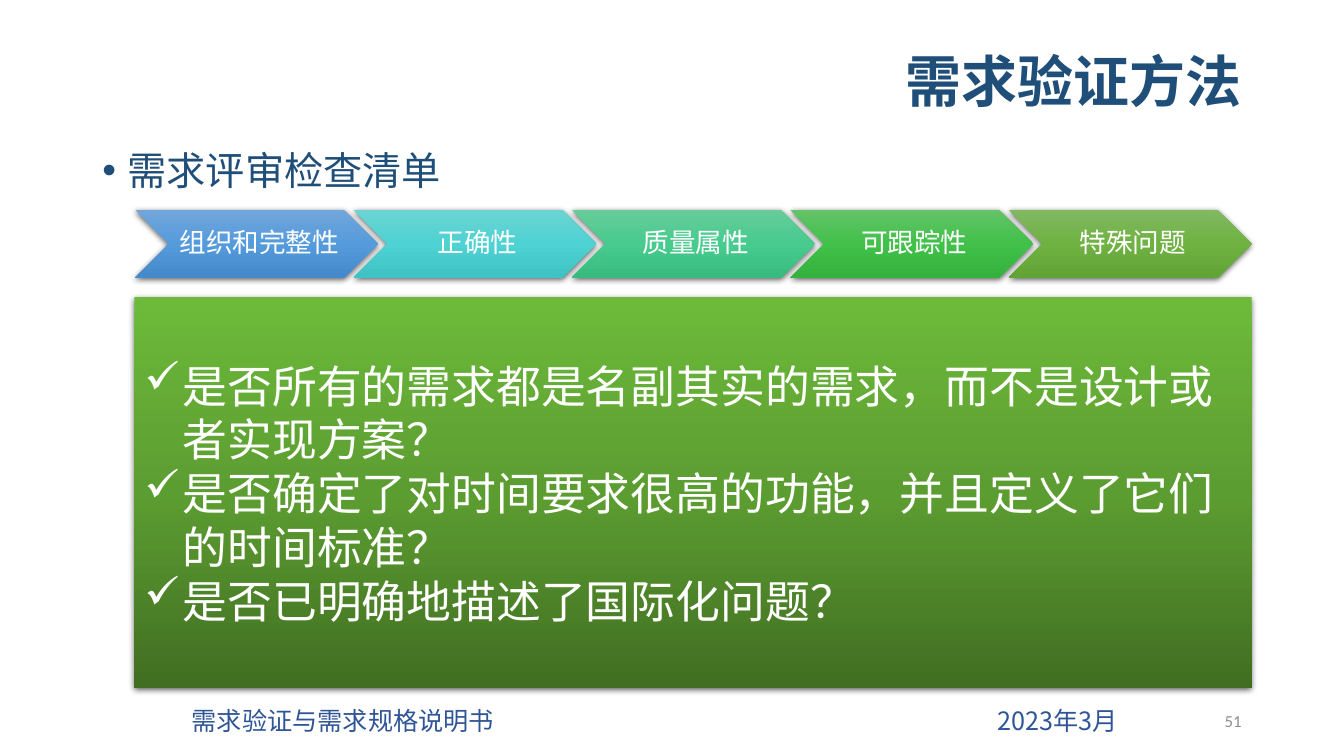
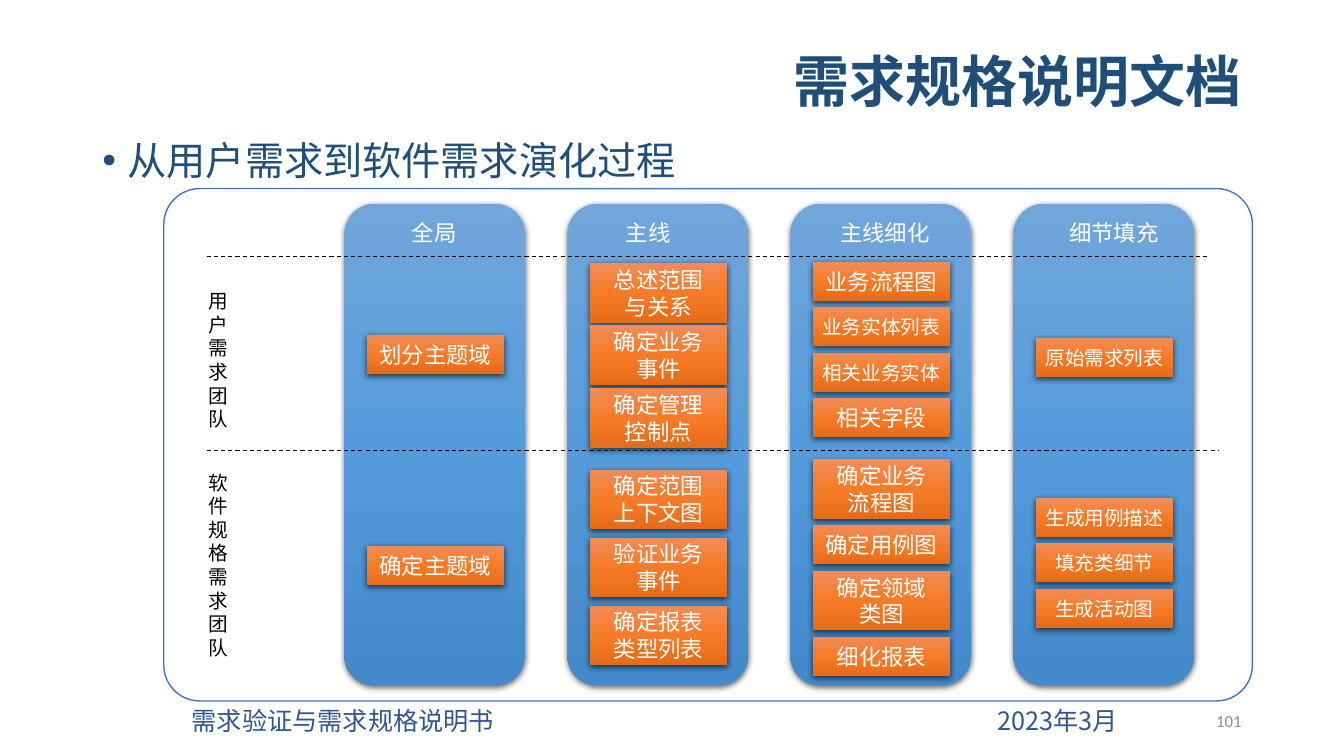
from lxml.etree import SubElement
from pptx import Presentation
from pptx.dml.color import RGBColor
from pptx.enum.dml import MSO_LINE
from pptx.enum.shapes import MSO_CONNECTOR, MSO_SHAPE
from pptx.enum.text import MSO_ANCHOR, MSO_AUTO_SIZE, PP_ALIGN
from pptx.oxml.ns import qn
from pptx.util import Inches, Pt

# The slide is a grid of 32 columns and 18 rows of square cells.
CELL = Inches(13.333) / 32
NAVY, FOOTER_BLUE, GREY, WHITE, BLACK = "1F4E79", "2F5597", "8C8C8C", "FFFFFF", "000000"
BLUES = ("71A6DB", "559BDB", "448ACA")
TEALS = ("6CD3D3", "4ED2D3", "3EC2C3")
MINTS = ("67CC9A", "47CB8E", "39BB7F")
GREENS = ("63C368", "42C14A", "34B23D")
OLIVES = ("81B861", "6FB242", "62A336")
LEAVES = ("6DBA3A", "5C9D31", "416E22")
ORANGES = ("F18C57", "F67B28", "E56C19")
SANS = "Noto Sans CJK SC"
CENTER = {"alignment": PP_ALIGN.CENTER}
RIGHT = {"alignment": PP_ALIGN.RIGHT}
MIDDLE = {"vertical_anchor": MSO_ANCHOR.MIDDLE}
MIDDLE_NO_WRAP = {**MIDDLE, "word_wrap": False}


def cells(*counts):
    """Turn counts of grid cells into lengths."""
    return [round(count * CELL) for count in counts]


def write(shape, lines, size, color, paragraph_format=None, frame_format=None,
          bullet=None, typeface=SANS, bold=False):
    """Fill a shape with one paragraph per line; bullet is (character, indent in inches)."""
    frame = shape.text_frame
    for name, value in {"word_wrap": True, "auto_size": MSO_AUTO_SIZE.NONE,
                        **(frame_format or {})}.items():
        setattr(frame, name, value)
    for number, line in enumerate(lines):
        paragraph = frame.paragraphs[0] if number == 0 else frame.add_paragraph()
        if bullet:
            character, indent = bullet
            properties = paragraph._p.get_or_add_pPr()
            properties.set("marL", str(Inches(indent)))
            properties.set("indent", str(-Inches(indent)))
            SubElement(properties, qn("a:buChar"), char=character)
        for name, value in {"space_before": Pt(0), "alignment": PP_ALIGN.LEFT,
                            **(paragraph_format or {})}.items():
            setattr(paragraph, name, value)
        run = paragraph.add_run()
        run.text = line
        run.font.color.rgb = RGBColor.from_string(color)
        for name, value in {"size": Pt(size), "bold": bold, "name": typeface}.items():
            setattr(run.font, name, value)
        SubElement(run._r.get_or_add_rPr(), qn("a:ea"), typeface=typeface)


presentation = Presentation()
presentation.slide_width, presentation.slide_height = cells(32, 18)
gradient_blocks = []

# Title, list, footer and number of both slides
slides = []
for title, topic, topic_box, page in (
    ("需求验证方法", "需求评审检查清单", (2.2, 3.48, 27.6, 12.75), "51"),
    ("需求规格说明文档", "从用户需求到软件需求演化过程", (2.2, 3.24, 24.14, 11.6), "101"),
):
    slide = presentation.slides.add_slide(presentation.slide_layouts[1])
    slides.append(slide)
    heading, body = slide.placeholders
    for placeholder, box in ((heading, (2.2, 0.75, 27.6, 2.5)), (body, topic_box)):
        for name, length in zip(("left", "top", "width", "height"), cells(*box)):
            setattr(placeholder, name, length)
    write(heading, [title], 40, NAVY, {**RIGHT, "line_spacing": 0.9}, MIDDLE, bold=True)
    write(body, [topic], 28, NAVY, {"line_spacing": 0.9}, bullet=("•", 0.25),
          typeface="Noto Sans CJK JP")
    for left, text in ((4.33, "需求验证与需求规格说明书"), (23.52, "2023年3月")):
        footer = slide.shapes.add_textbox(*cells(left, 16.68, 12 if left < 16 else 5, 0.96))
        write(footer, [text], 18, FOOTER_BLUE)
    page_number = slide.shapes.add_textbox(*cells(22.6, 16.68, 7.2, 0.96))
    write(page_number, [page], 12, GREY, RIGHT, MIDDLE, typeface="Calibri")

checklist_slide, evolution_slide = slides

# Checklist: a row of chevrons above the questions
chevron_frame = {**MIDDLE_NO_WRAP, "margin_left": Inches(0.08), "margin_right": Inches(0.03),
                 "margin_top": Inches(0.03), "margin_bottom": Inches(0.03)}
for index, (label, stops) in enumerate((
    ("组织和完整性", BLUES), ("正确性", TEALS), ("质量属性", MINTS),
    ("可跟踪性", GREENS), ("特殊问题", OLIVES),
)):
    chevron = checklist_slide.shapes.add_shape(
        MSO_SHAPE.CHEVRON, *cells(3.22 + 5.2 * index, 5, 5.78, 1.61))
    write(chevron, [label], 19, WHITE, {**CENTER, "line_spacing": 0.9}, chevron_frame)
    gradient_blocks.append((chevron, stops))

questions = checklist_slide.shapes.add_shape(MSO_SHAPE.RECTANGLE, *cells(3.2, 7.08, 26.6, 9.3))
write(questions, [
    "是否所有的需求都是名副其实的需求，而不是设计或者实现方案？",
    "是否确定了对时间要求很高的功能，并且定义了它们的时间标准？",
    "是否已明确地描述了国际化问题？",
], 32, WHITE, frame_format=MIDDLE, bullet=("✓", 0.38))
gradient_blocks.append((questions, LEAVES))

# Evolution: a frame, two team labels, four columns and their cards
shapes = evolution_slide.shapes
outline = shapes.add_shape(MSO_SHAPE.ROUNDED_RECTANGLE, *cells(3.9, 4.49, 25.92, 12.2))
outline.adjustments[0] = 0.07
outline.shadow.inherit = False
outline.fill.solid()
outline.fill.fore_color.rgb = RGBColor.from_string(WHITE)
outline.line.color.rgb = RGBColor.from_string("4472C4")
outline.line.width = Pt(1)

for team, top, height in (("用户需求团队", 6.77, 3.62), ("软件规格需求团队", 11.09, 4.78)):
    team_label = shapes.add_textbox(*cells(4.73, top, 1.03, height))
    write(team_label, team, 14, BLACK)

FIRST_COLUMN, COLUMN_PITCH = 8.2, 5.31
for index in range(4):
    column = shapes.add_shape(
        MSO_SHAPE.ROUNDED_RECTANGLE,
        *cells(FIRST_COLUMN + COLUMN_PITCH * index, 4.85, 4.3, 11.47))
    gradient_blocks.append((column, BLUES))

for row, right in ((6.1, 28.78), (10.73, 29)):
    divider = shapes.add_connector(MSO_CONNECTOR.STRAIGHT, *cells(4.92, row, right, row))
    divider.line.color.rgb = RGBColor.from_string(BLACK)
    divider.line.width = Pt(0.75)
    divider.line.dash_style = MSO_LINE.DASH
    SubElement(divider._element.spPr, qn("a:effectLst"))

for stage, left in (("全局", 8.79), ("主线", 13.88), ("主线细化", 19.52), ("细节填充", 24.97)):
    stage_label = shapes.add_textbox(*cells(left, 5.11, 3.1, 0.89))
    write(stage_label, [stage], 16, WHITE, CENTER)

# Each stack: column, top, gap between cards, and the lines of its cards
for column_index, top, gap, cards in (
    (0, 7.97, 0, [["划分主题域"]]),
    (0, 13, 0, [["确定主题域"]]),
    (1, 6.26, 0.07, [["总述范围", "与关系"], ["确定业务", "事件"], ["确定管理", "控制点"]]),
    (1, 11.18, 0.2, [["确定范围", "上下文图"], ["验证业务", "事件"], ["确定报表", "类型列表"]]),
    (2, 6.24, 0.15, [["业务流程图"], ["业务实体列表"], ["相关业务实体"], ["相关字段"]]),
    (2, 10.94, 0.15, [["确定业务", "流程图"], ["确定用例图"], ["确定领域", "类图"], ["细化报表"]]),
    (3, 8.04, 0, [["原始需求列表"]]),
    (3, 11.86, 0.15, [["生成用例描述"], ["填充类细节"], ["生成活动图"]]),
):
    for lines in cards:
        height = 0.93 if len(lines) == 1 else 1.42
        left = FIRST_COLUMN + COLUMN_PITCH * column_index + 0.53
        card = shapes.add_shape(MSO_SHAPE.RECTANGLE, *cells(left, top, 3.27, height))
        size = 14 if column_index == 3 or len(lines[0]) > 5 else 16
        write(card, lines, size, WHITE, CENTER, MIDDLE_NO_WRAP)
        gradient_blocks.append((card, ORANGES))
        top += height + gap

# Shared look of the blocks: three-stop gradient from top to bottom and a soft shadow
for block, stops in gradient_blocks:
    block.line.fill.background()
    block.fill.gradient()
    block.fill.gradient_angle = 270
    properties = block._element.spPr
    stop_list = properties.find(f".//{qn('a:gsLst')}")
    stop_list.clear()
    for position, color in zip((0, 50000, 100000), stops):
        stop = SubElement(stop_list, qn("a:gs"), pos=str(position))
        SubElement(stop, qn("a:srgbClr"), val=color)
    block.shadow.inherit = False
    shadow = SubElement(properties.find(qn("a:effectLst")), qn("a:outerShdw"),
                        blurRad=str(Pt(4.5)), dist=str(Pt(1.5)), dir="5400000",
                        algn="ctr", rotWithShape="0")
    shadow_color = SubElement(shadow, qn("a:srgbClr"), val=BLACK)
    SubElement(shadow_color, qn("a:alpha"), val="63000")

presentation.save("out.pptx")
